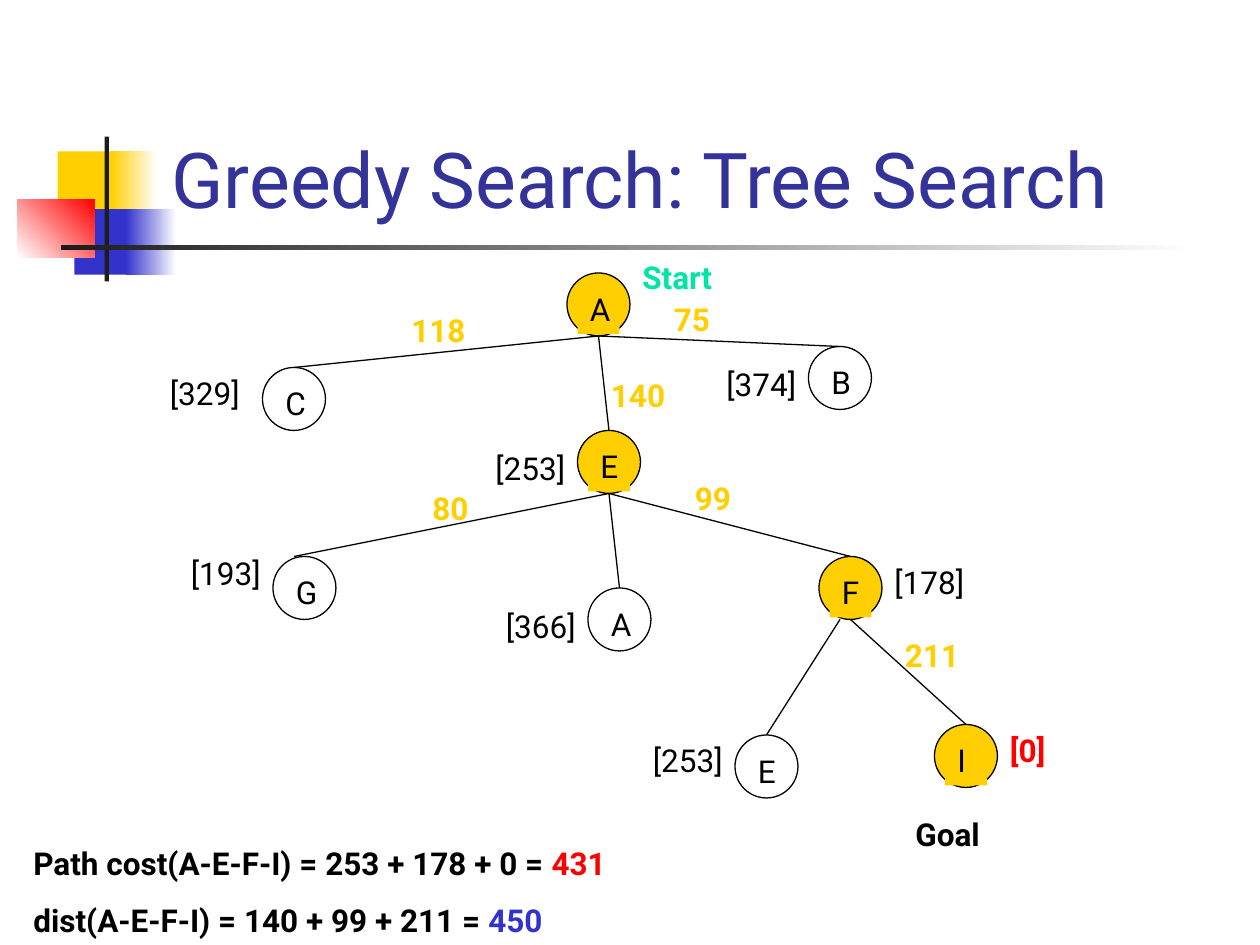
from dataclasses import dataclass

from lxml import etree
from pptx import Presentation
from pptx.dml.color import RGBColor
from pptx.enum.shapes import MSO_CONNECTOR, MSO_SHAPE
from pptx.enum.text import MSO_ANCHOR, MSO_AUTO_SIZE, PP_ALIGN
from pptx.oxml.ns import qn
from pptx.util import Pt

RECTANGLE, ELLIPSE = MSO_SHAPE.RECTANGLE, MSO_SHAPE.OVAL
STRAIGHT = MSO_CONNECTOR.STRAIGHT
LEFT, TOP, BOTTOM = PP_ALIGN.LEFT, MSO_ANCHOR.TOP, MSO_ANCHOR.BOTTOM
GROW, FIXED = MSO_AUTO_SIZE.SHAPE_TO_FIT_TEXT, MSO_AUTO_SIZE.NONE
TITLE_ONLY = 5

COLORS = {
    "yellow": "FFCF01", "blue": "3333CC", "red": "FF0000", "white": "FFFFFF",
    "charcoal": "1C1C1C", "black": "000000", "navy": "333399", "green": "00E4A8",
}
FONT = "Roboto"
DIAMETER = 36
LABEL_INSET = 6
LABEL_WIDTH = 24
TEXT_HEIGHT = 28.8


@dataclass(frozen=True)
class Block:
    left: float
    top: float
    width: float
    height: float
    colors: tuple[str, ...]
    angle: float = 0


@dataclass(frozen=True)
class Node:
    letter: str
    left: float
    top: float
    expanded: bool = False


@dataclass(frozen=True)
class Edge:
    parent: str
    child: str
    start_shift: float = 0
    end_shift: float = 0


@dataclass(frozen=True)
class Label:
    text: str
    left: float
    top: float
    width: float = 66
    color: str = "black"
    bold: bool = False


BLOCKS = [
    Block(33, 86.5, 34.5, 37.5, ("yellow",)),
    Block(63.5, 86.5, 26, 37.5, ("yellow", "white")),
    Block(42.5, 119.5, 33, 37.5, ("blue",)),
    Block(72, 119.5, 28.8, 37.5, ("blue", "white")),
    Block(10, 113.75, 44, 33.25, ("white", "red"), 45),
    Block(59.75, 78, 2.5, 82.75, ("charcoal",)),
    Block(34.75, 140.25, 648, 2.5, ("charcoal", "white")),
]
NODES = {
    "root": Node("A", 324, 156, True),
    "B": Node("B", 462, 198),
    "C": Node("C", 150, 210),
    "E": Node("E", 330, 246, True),
    "F": Node("F", 468, 318, True),
    "goal": Node("I", 534, 414, True),
    "G": Node("G", 156, 318),
    "A again": Node("A", 336, 336),
    "E again": Node("E", 420, 420),
}
EDGES = [
    Edge("root", "B"), Edge("root", "E"), Edge("root", "C"),
    Edge("E", "F"), Edge("E", "G", end_shift=-6), Edge("E", "A again"),
    Edge("F", "goal"), Edge("F", "E again", start_shift=-6),
]
LABELS = [
    Label("99", 390, 270, 48, "yellow", True),
    Label("211", 510, 360, 60, "yellow", True),
    Label("80", 240, 276, 48, "yellow", True),
    Label("75", 378, 168, 48, "yellow", True),
    Label("118", 228, 174, 60, "yellow", True),
    Label("140", 342, 211.2, 60, "yellow", True),
    Label("Start", 360, 144, 96, "green", True),
    Label("Goal", 516, 462, 96, "black", True),
    Label("[374]", 408, 205.2),
    Label("[329]", 90, 210),
    Label("[253]", 276, 253.2),
    Label("[193]", 102, 313.2),
    Label("[366]", 282, 343.2),
    Label("[178]", 504, 318),
    Label("[253]", 366, 420),
    Label("[0]", 570, 414, color="red", bold=True),
]
SUMMARY = [
    [("Path cost(A-E-F-I) = 253 + 178 + 0 = ", "black"), ("431", "red")],
    [("dist(A-E-F-I) = 140 + 99 + 211 = ", "black"), ("450", "blue")],
]


def color_of(name: str) -> RGBColor:
    return RGBColor.from_string(COLORS[name])


def write_text(shape, lines: list, *, size: float = 18, bold: bool = False,
               anchor=TOP, auto_size=GROW, space_before: float = 11.2) -> None:
    frame = shape.text_frame
    frame.word_wrap = True
    frame.auto_size = auto_size
    frame.vertical_anchor = anchor
    for index, line in enumerate(lines):
        paragraph = frame.add_paragraph() if index else frame.paragraphs[0]
        paragraph.alignment = LEFT
        paragraph.space_before = Pt(space_before)
        for text, color in line:
            run = paragraph.add_run()
            run.text = text
            run.font.name = FONT
            run.font.size = Pt(size)
            run.font.bold = bold
            run.font.color.rgb = color_of(color)


def add_text(shapes, left: float, top: float, width: float, height: float,
             lines: list, fill: str | None = None, bold: bool = False) -> None:
    box = shapes.add_textbox(Pt(left), Pt(top), Pt(width), Pt(height))
    if fill:
        box.fill.solid()
        box.fill.fore_color.rgb = color_of(fill)
    write_text(box, lines, bold=bold)


def add_block(shapes, block: Block) -> None:
    shape = shapes.add_shape(RECTANGLE, Pt(block.left), Pt(block.top),
                             Pt(block.width), Pt(block.height))
    shape.shadow.inherit = False
    shape.line.fill.background()
    if len(block.colors) == 1:
        shape.fill.solid()
        shape.fill.fore_color.rgb = color_of(block.colors[0])
        return
    shape.fill.gradient()
    shape.fill.gradient_angle = block.angle
    for stop, color in zip(shape.fill.gradient_stops, block.colors):
        stop.color.rgb = color_of(color)


def add_node(shapes, node: Node) -> None:
    group = shapes.add_group_shape()
    circle = group.shapes.add_shape(ELLIPSE, Pt(node.left), Pt(node.top),
                                    Pt(DIAMETER), Pt(DIAMETER))
    circle.shadow.inherit = False
    circle.line.color.rgb = color_of("black")
    circle.line.width = Pt(0.75)
    if node.expanded:
        circle.fill.solid()
        circle.fill.fore_color.rgb = color_of("yellow")
    else:
        circle.fill.background()
    add_text(group.shapes, node.left + LABEL_INSET, node.top + LABEL_INSET,
             LABEL_WIDTH, TEXT_HEIGHT, [[(node.letter, "black")]],
             fill="yellow" if node.expanded else None)


def add_edge(shapes, edge: Edge) -> None:
    parent, child = NODES[edge.parent], NODES[edge.child]
    radius = DIAMETER / 2
    connector = shapes.add_connector(
        STRAIGHT,
        Pt(parent.left + radius + edge.start_shift), Pt(parent.top + DIAMETER),
        Pt(child.left + radius + edge.end_shift), Pt(child.top))
    connector.line.color.rgb = color_of("black")
    connector.line.width = Pt(0.75)
    etree.SubElement(connector._element.spPr, qn("a:effectLst"))


def main() -> None:
    presentation = Presentation()
    presentation.slide_width, presentation.slide_height = Pt(720), Pt(540)
    slide = presentation.slides.add_slide(presentation.slide_layouts[TITLE_ONLY])
    shapes = slide.shapes
    for block in BLOCKS:
        add_block(shapes, block)
    title = shapes.title
    title.left, title.top = Pt(90.75), Pt(16.5)
    title.width, title.height = Pt(613.5), Pt(115.25)
    write_text(title, [[("Greedy Search: Tree Search", "navy")]], size=44,
               anchor=BOTTOM, auto_size=FIXED, space_before=0)
    for node in NODES.values():
        add_node(shapes, node)
    for edge in EDGES:
        add_edge(shapes, edge)
    for label in LABELS:
        add_text(shapes, label.left, label.top, label.width, TEXT_HEIGHT,
                 [[(label.text, label.color)]], bold=label.bold)
    add_text(shapes, 12, 478.8, 432, 61.9, SUMMARY, bold=True)
    presentation.save("out.pptx")


if __name__ == "__main__":
    main()
